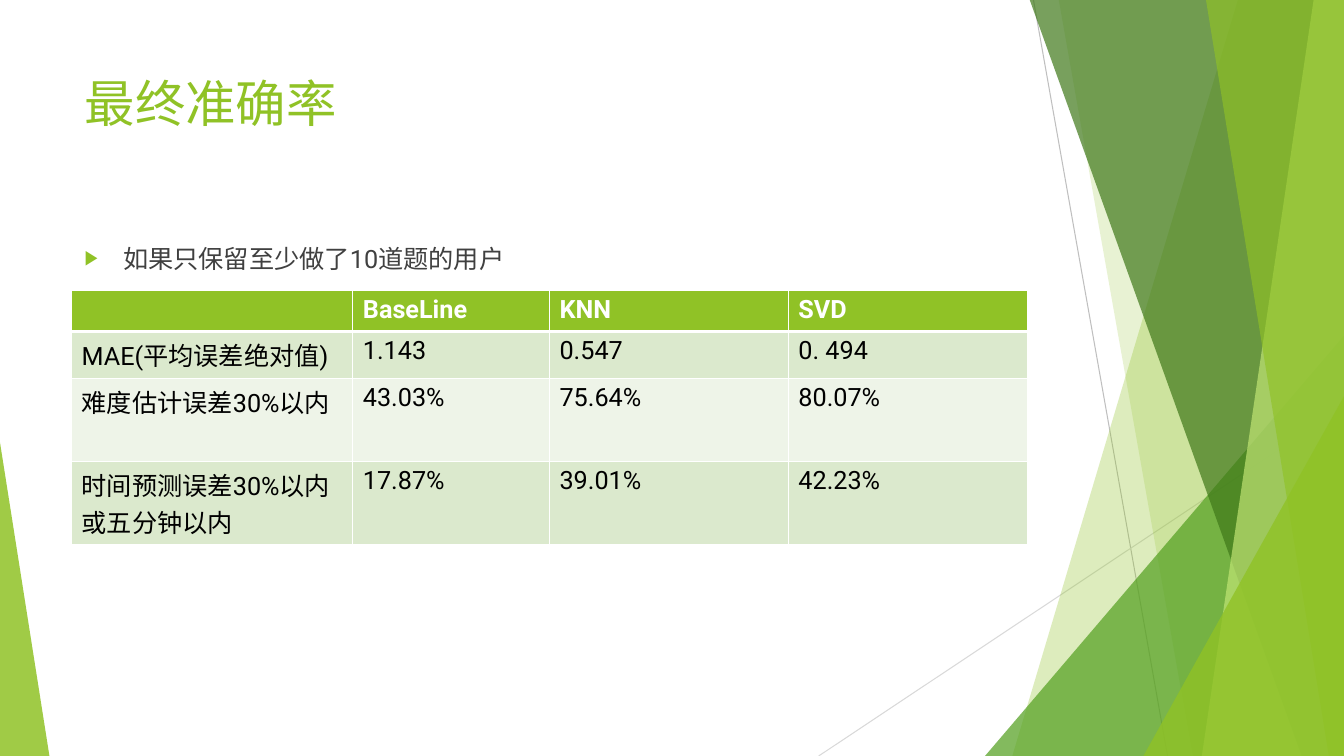
"""Build the final accuracy slide with its faceted green backdrop and results table."""
from lxml.etree import SubElement
from pptx import Presentation
from pptx.dml.color import RGBColor
from pptx.enum.shapes import MSO_CONNECTOR, MSO_SHAPE
from pptx.enum.text import MSO_ANCHOR, MSO_AUTO_SIZE, PP_ALIGN
from pptx.oxml import parse_xml
from pptx.oxml.ns import nsdecls, qn
from pptx.util import Inches, Pt

GREEN = RGBColor(0x90, 0xC2, 0x26)
MID_GREEN = RGBColor(0x54, 0xA0, 0x21)
DARK_GREEN = RGBColor(0x3F, 0x78, 0x19)
LIME = RGBColor(0xC0, 0xE4, 0x74)
BAND_DARK = RGBColor(0xDB, 0xE9, 0xCD)
BAND_LIGHT = RGBColor(0xEE, 0xF4, 0xE8)
GREY = RGBColor(0xBF, 0xBF, 0xBF)
PALE_GREY = RGBColor(0xD9, 0xD9, 0xD9)
TEXT_GREY = RGBColor(0x40, 0x40, 0x40)
WHITE = RGBColor(0xFF, 0xFF, 0xFF)
BLACK = RGBColor(0, 0, 0)
FONT = "Roboto"
W, H, TOP = 13.33, 7.5, -0.01


def paint(sp, color, alpha):
    """Fill a shape with a see-through colour and no outline."""
    sp.shadow.inherit = False
    sp.line.fill.background()
    sp.fill.solid()
    sp.fill.fore_color.rgb = color
    srgb = sp.element.spPr.find(qn("a:solidFill")).find(qn("a:srgbClr"))
    SubElement(srgb, qn("a:alpha"), val=str(alpha * 1000))


def style(p, size, color, bold=False):
    """Format every run of a paragraph."""
    for r in p.runs:
        r.font.name = FONT
        r.font.size = Pt(size)
        r.font.bold = bold
        r.font.color.rgb = color


prs = Presentation()
prs.slide_width, prs.slide_height = Inches(W), Inches(H)
s = prs.slides.add_slide(prs.slide_layouts[1])
title, body = s.placeholders

for x1, y1, x2, y2, color in [
    (10.25, 0, 11.58, H, GREY),
    (W, 4.03, 8.12, H, PALE_GREY),
]:
    line = s.shapes.add_connector(
        MSO_CONNECTOR.STRAIGHT, Inches(x1), Inches(y1), Inches(x2), Inches(y2))
    line.line.color.rgb = color
    line.line.width = Pt(0.75)
    SubElement(line.element.spPr, qn("a:effectLst"))

# Panels give top-left and bottom-left x; triangles give left, top, width and apex.
facets = [
    ("panel", (12.28, 10.04), GREEN, 30),
    ("panel", (10.5, 11.83), GREEN, 20),
    ("triangle", (9.77, 3.33, 3.56, 1), MID_GREEN, 72),
    ("panel", (10.21, 12.91), DARK_GREEN, 70),
    ("panel", (13.03, 11.92), LIME, 70),
    ("panel", (11.96, 13.18), GREEN, 65),
    ("triangle", (11.34, 3.93, 1.99, 1), GREEN, 80),
    ("triangle", (0, 4.39, 0.49, 0), GREEN, 85),
]
for kind, place, color, alpha in facets:
    if kind == "panel":
        top_x, bottom_x = place
        fb = s.shapes.build_freeform(Inches(top_x), Inches(TOP))
        fb.add_line_segments([(Inches(x), Inches(y)) for x, y in
                              [(W, TOP), (W, H), (bottom_x, H)]])
        sp = fb.convert_to_shape()
    else:
        x, y, w, apex = place
        sp = s.shapes.add_shape(MSO_SHAPE.ISOSCELES_TRIANGLE,
                                Inches(x), Inches(y), Inches(w), Inches(H - y))
        sp.adjustments[0] = apex
    paint(sp, color, alpha)

for ph, top, height, text, size, color in [
    (title, 0.67, 1.44, "最终准确率", 36, GREEN),
    (body, 2.36, 4.24, "如果只保留至少做了10道题的用户", 18, TEXT_GREY),
]:
    s.shapes.element.append(ph.element)
    ph.left, ph.top = Inches(0.74), Inches(top)
    ph.width, ph.height = Inches(9.4), Inches(height)
    tf = ph.text_frame
    tf.text = text
    tf.word_wrap = True
    tf.auto_size = MSO_AUTO_SIZE.NONE
    tf.vertical_anchor = MSO_ANCHOR.TOP
    tf.paragraphs[0].alignment = PP_ALIGN.LEFT
    style(tf.paragraphs[0], size, color)

p = body.text_frame.paragraphs[0]
p.space_before = Pt(10)
pPr = p._p.get_or_add_pPr()
pPr.set("marL", str(Inches(0.38)))
pPr.set("indent", str(Inches(-0.38)))
bu_color = SubElement(pPr, qn("a:buClr"))
SubElement(bu_color, qn("a:srgbClr"), val=str(GREEN))
SubElement(pPr, qn("a:buSzPct"), val="80000")
SubElement(pPr, qn("a:buChar"), char="▶")

rows = [
    ["", "BaseLine", "KNN", "SVD"],
    ["MAE(平均误差绝对值)", "1.143", "0.547", "0. 494"],
    ["难度估计误差30%以内", "43.03%", "75.64%", "80.07%"],
    ["时间预测误差30%以内或五分钟以内", "17.87%", "39.01%", "42.23%"],
]
col_widths = [2.79, 1.95, 2.37, 2.37]
row_fills = [GREEN, BAND_DARK, BAND_LIGHT, BAND_DARK]
table = s.shapes.add_table(len(rows), len(col_widths), Inches(0.71), Inches(2.88),
                           Inches(sum(col_widths)), Inches(0.41 * len(rows))).table
for col, width in zip(table.columns, col_widths):
    col.width = Inches(width)
for i, row in enumerate(rows):
    table.rows[i].height = Inches(0.41)
    for j, text in enumerate(row):
        cell = table.cell(i, j)
        cell.text = text
        style(cell.text_frame.paragraphs[0], 18, BLACK if i else WHITE, bold=i == 0)
        tcPr = cell._tc.get_or_add_tcPr()
        for side in "LRTB":
            thick = (i, side) in [(0, "B"), (1, "T")]
            tcPr.append(parse_xml(
                f'<a:ln{side} {nsdecls("a")} w="{Pt(3 if thick else 1)}"><a:solidFill>'
                f'<a:srgbClr val="{WHITE}"/></a:solidFill></a:ln{side}>'))
        cell.fill.solid()
        cell.fill.fore_color.rgb = row_fills[i]

prs.save("out.pptx")
